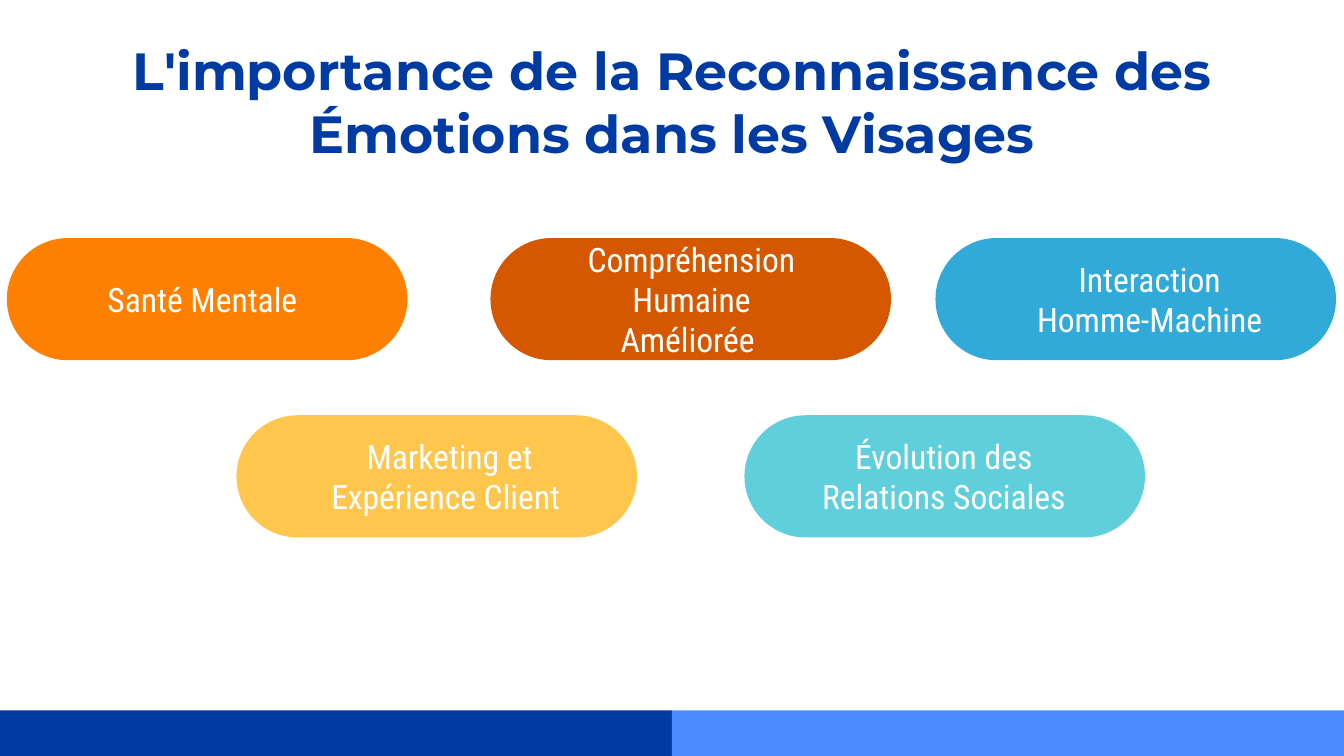
from pptx import Presentation
from pptx.dml.color import RGBColor
from pptx.enum.shapes import MSO_SHAPE
from pptx.enum.text import MSO_ANCHOR, PP_ALIGN
from pptx.util import Cm, Pt

WIDE, HIGH = 25.4, 14.29
NAVY, WHITE = "003BA3", "FFFFFF"


def color(code):
    return RGBColor.from_string(code)


def write(frame, text, font="Roboto Condensed", size=18, ink=WHITE,
          bold=False, anchor=MSO_ANCHOR.MIDDLE):
    frame.word_wrap = True
    frame.vertical_anchor = anchor
    frame.margin_left = frame.margin_right = Cm(0.25)
    frame.margin_top = frame.margin_bottom = Cm(0.25)
    line = frame.paragraphs[0]
    line.alignment = PP_ALIGN.CENTER
    run = line.add_run()
    run.text = text
    run.font.name = font
    run.font.size = Pt(size)
    run.font.bold = bold
    run.font.color.rgb = color(ink)


class Deck:
    def __init__(self):
        self.show = Presentation()
        self.show.slide_width = Cm(WIDE)
        self.show.slide_height = Cm(HIGH)
        self.slide = self.show.slides.add_slide(self.show.slide_layouts[6])

    def block(self, kind, left, top, width, height, fill):
        shape = self.slide.shapes.add_shape(
            kind, Cm(left), Cm(top), Cm(width), Cm(height))
        shape.shadow.inherit = False
        shape.fill.solid()
        shape.fill.fore_color.rgb = color(fill)
        shape.line.fill.background()
        return shape

    def bar(self, left, fill):
        self.block(MSO_SHAPE.RECTANGLE, left, HIGH - 0.86, WIDE / 2, 0.86, fill)

    def pill(self, left, top, fill):
        shape = self.block(MSO_SHAPE.ROUNDED_RECTANGLE, left, top, 7.57, 2.31, fill)
        shape.adjustments[0] = 0.5

    def label(self, text, left, top, width, height, **style):
        box = self.slide.shapes.add_textbox(
            Cm(left), Cm(top), Cm(width), Cm(height))
        write(box.text_frame, text, **style)


def main():
    deck = Deck()
    deck.bar(0, NAVY)
    deck.bar(WIDE / 2, "4A8CFF")
    deck.label("L'importance de la Reconnaissance des Émotions dans les Visages",
               2, 0.48, 21.4, 3, font="Montserrat", size=28, ink=NAVY,
               bold=True, anchor=MSO_ANCHOR.TOP)

    upper, lower = 4.5, 7.85
    topics = [
        ("Santé Mentale ", 0.13, upper, 1.09, "FF8001"),
        ("Compréhension Humaine Améliorée ", 9.27, upper, 1.12, "D55800"),
        ("Interaction Homme-Machine", 17.68, upper, 1.37, "32AAD9"),
        ("Marketing et Expérience Client ", 4.47, lower, 1.35, "FFC64E"),
        ("Évolution des Relations Sociales", 14.07, lower, 1.09, "5FD0DB"),
    ]
    for text, left, top, inset, fill in topics:
        deck.pill(left, top, fill)
        deck.label(text, left + inset, top + 0.32, 5.36, 1.67)

    deck.show.save("out.pptx")


if __name__ == "__main__":
    main()
